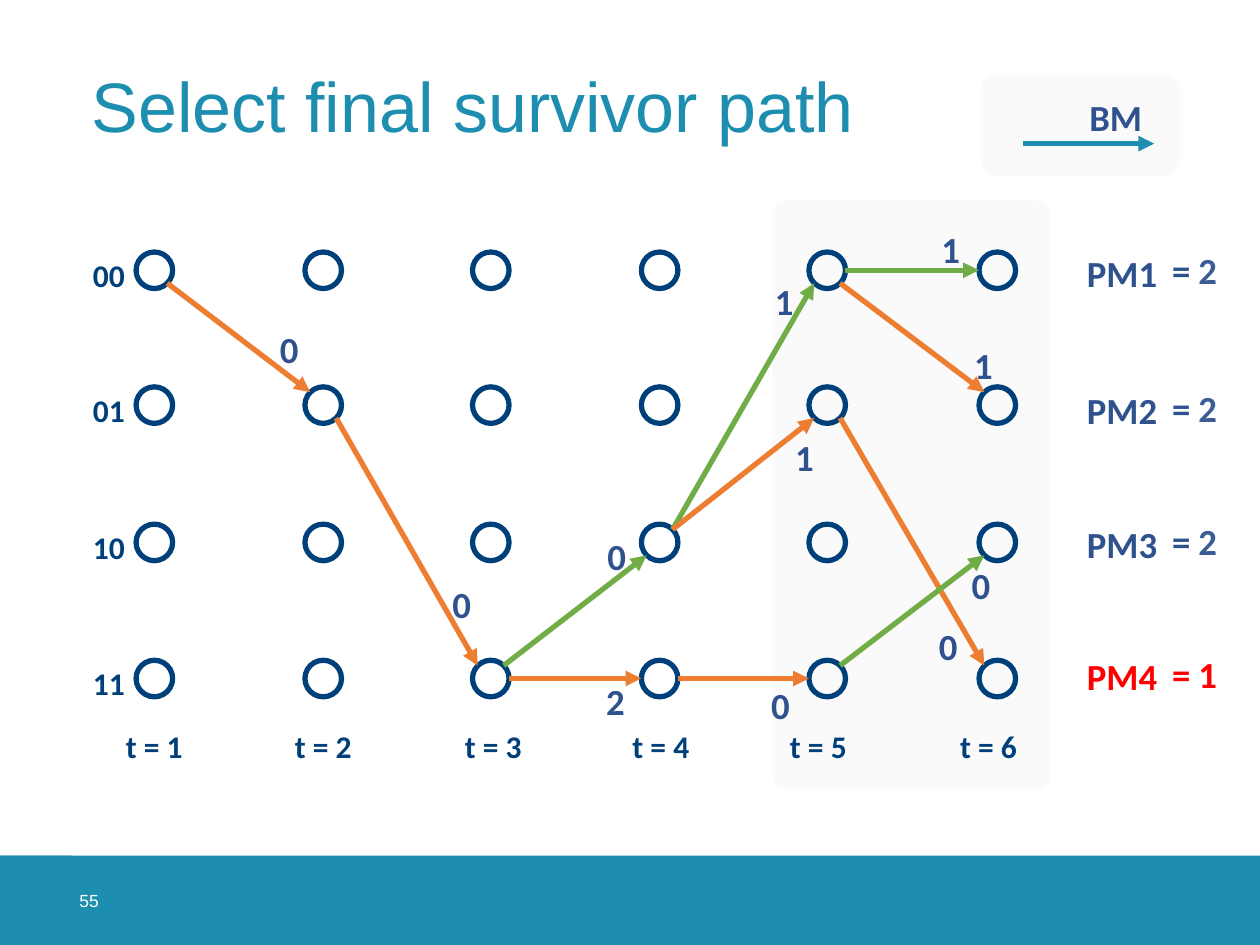
from lxml import etree
from pptx import Presentation
from pptx.dml.color import RGBColor
from pptx.enum.shapes import MSO_CONNECTOR, MSO_SHAPE
from pptx.enum.text import MSO_ANCHOR, PP_ALIGN
from pptx.oxml.ns import qn
from pptx.util import Inches, Pt

COLORS = {
    "teal": "1D8DB0", "navy": "00407A", "blue": "2F528F", "value": "3B5C95",
    "red": "FF0000", "green": "70AD47", "orange": "ED7D31",
    "panel": "FAFAFA", "white": "FFFFFF",
}
RGB = {name: RGBColor.from_string(code) for name, code in COLORS.items()}

prs = Presentation()
prs.slide_width, prs.slide_height = Inches(10), Inches(7.5)
slide = prs.slides.add_slide(prs.slide_layouts[6])
shapes = slide.shapes


def add_label(text, left, top, width, height, size=21, color="blue",
              align=PP_ALIGN.CENTER, name="Calibri", bold=True, margins=(0, 0)):
    box = shapes.add_textbox(Inches(left), Inches(top), Inches(width), Inches(height))
    frame = box.text_frame
    across, down = (Inches(margin) for margin in margins)
    layout = {"word_wrap": True, "vertical_anchor": MSO_ANCHOR.MIDDLE,
              "margin_left": across, "margin_right": across,
              "margin_top": down, "margin_bottom": down}
    for key, value in layout.items():
        setattr(frame, key, value)
    paragraph = frame.paragraphs[0]
    paragraph.alignment = align
    run = paragraph.add_run()
    run.text = text
    for key, value in {"name": name, "size": Pt(size), "bold": bold}.items():
        setattr(run.font, key, value)
    run.font.color.rgb = RGB[color]
    return paragraph


def add_arrow(x1, y1, x2, y2, color):
    arrow = shapes.add_connector(MSO_CONNECTOR.STRAIGHT, Inches(x1), Inches(y1),
                                 Inches(x2), Inches(y2))
    arrow.line.color.rgb = RGB[color]
    arrow.line.width = Pt(3)
    etree.SubElement(arrow.line._get_or_add_ln(), qn("a:tailEnd"), type="triangle")
    etree.SubElement(arrow._element.spPr, qn("a:effectLst"))


# Footer bar, panel behind the last step, and legend panel
panels = [
    (MSO_SHAPE.RECTANGLE, 0, 6.79, 10, 0.71, "teal", None),
    (MSO_SHAPE.RECTANGLE, 0, 6.79, 0.57, 0.71, "teal", None),
    (MSO_SHAPE.ROUNDED_RECTANGLE, 6.13, 1.59, 2.21, 4.67, "panel", 0.05),
    (MSO_SHAPE.ROUNDED_RECTANGLE, 7.78, 0.58, 1.59, 0.82, "panel", 0.17),
]
for kind, left, top, width, height, color, rounding in panels:
    panel = shapes.add_shape(kind, Inches(left), Inches(top), Inches(width), Inches(height))
    panel.shadow.inherit = False
    panel.fill.solid()
    panel.fill.fore_color.rgb = RGB[color]
    panel.line.fill.background()
    if rounding:
        panel.adjustments[0] = rounding

# Title and slide number
title = add_label("Select final survivor path", 0.63, 0.24, 8.74, 1.26, 40, "teal",
                  PP_ALIGN.LEFT, "Arial", False, (0.1, 0.05))
title.line_spacing = 0.9
add_label("55", 0.63, 6.79, 0.71, 0.71, 10, "white", PP_ALIGN.LEFT, "Arial", False)

# Legend: branch metric
add_arrow(8.12, 1.14, 9.16, 1.14, "teal")
add_label("BM", 8.6, 0.76, 0.51, 0.34)

# Trellis nodes: one column per time step, one row per state
NODE = 0.29
columns = [1.08, 2.42, 3.75, 5.09, 6.42, 7.77]
rows = [2, 3.07, 4.16, 5.24]
for left in columns:
    for top in rows:
        node = shapes.add_shape(MSO_SHAPE.OVAL, Inches(left), Inches(top),
                                Inches(NODE), Inches(NODE))
        node.shadow.inherit = False
        node.fill.background()
        node.line.color.rgb = RGB["navy"]
        node.line.width = Pt(3)

# State and time labels
for state, top in zip(["00", "01", "10", "11"], rows):
    add_label(state, 0.44, top - 0.02, 0.55, 0.4, 18, "navy", PP_ALIGN.RIGHT)
for step, left in enumerate([0.95, 2.29, 3.64, 4.97, 6.22, 7.57], start=1):
    add_label(f"t = {step}", left, 5.72, 0.55, 0.4, 18, "navy")

# Branches: start step, start state, end state, colour, metric and its place
branches = [
    (0, 0, 1, "orange", "0", 2.13, 2.6),
    (1, 1, 3, "orange", "0", 3.5, 4.63),
    (2, 3, 2, "green", "0", 4.73, 4.25),
    (2, 3, 3, "orange", "2", 4.72, 5.4),
    (3, 2, 0, "green", "1", 6.06, 2.22),
    (3, 2, 1, "orange", "1", 6.22, 3.46),
    (3, 3, 3, "orange", "0", 6.03, 5.43),
    (4, 0, 0, "green", "1", 7.38, 1.81),
    (4, 0, 1, "orange", "1", 7.64, 2.73),
    (4, 1, 3, "orange", "0", 7.36, 4.96),
    (4, 3, 2, "green", "0", 7.62, 4.48),
]
RADIUS = NODE / 2
for step, start, end, color, metric, left, top in branches:
    # Level branches leave from the side of a node, sloping ones at 45 degrees
    direction = (end > start) - (end < start)
    dx = RADIUS * 0.71 if direction else RADIUS
    dy = RADIUS * 0.71 * direction
    add_arrow(columns[step] + RADIUS + dx, rows[start] + RADIUS + dy,
              columns[step + 1] + RADIUS - dx, rows[end] + RADIUS - dy, color)
    add_label(metric, left, top, 0.33, 0.33)

# Path metrics, with the best one in red
path_metrics = [("PM1", "2", 1.98), ("PM2", "2", 3.07), ("PM3", "2", 4.13), ("PM4", "1", 5.18)]
for name, value, top in path_metrics:
    best = name == "PM4"
    add_label(name, 8.39, top + 0.02, 1.03, 0.33, color="red" if best else "blue")
    add_label("=", 8.86, top, 1.03, 0.33, color="red" if best else "blue")
    add_label(value, 9.07, top, 1.03, 0.33, color="red" if best else "value")

prs.save("out.pptx")
